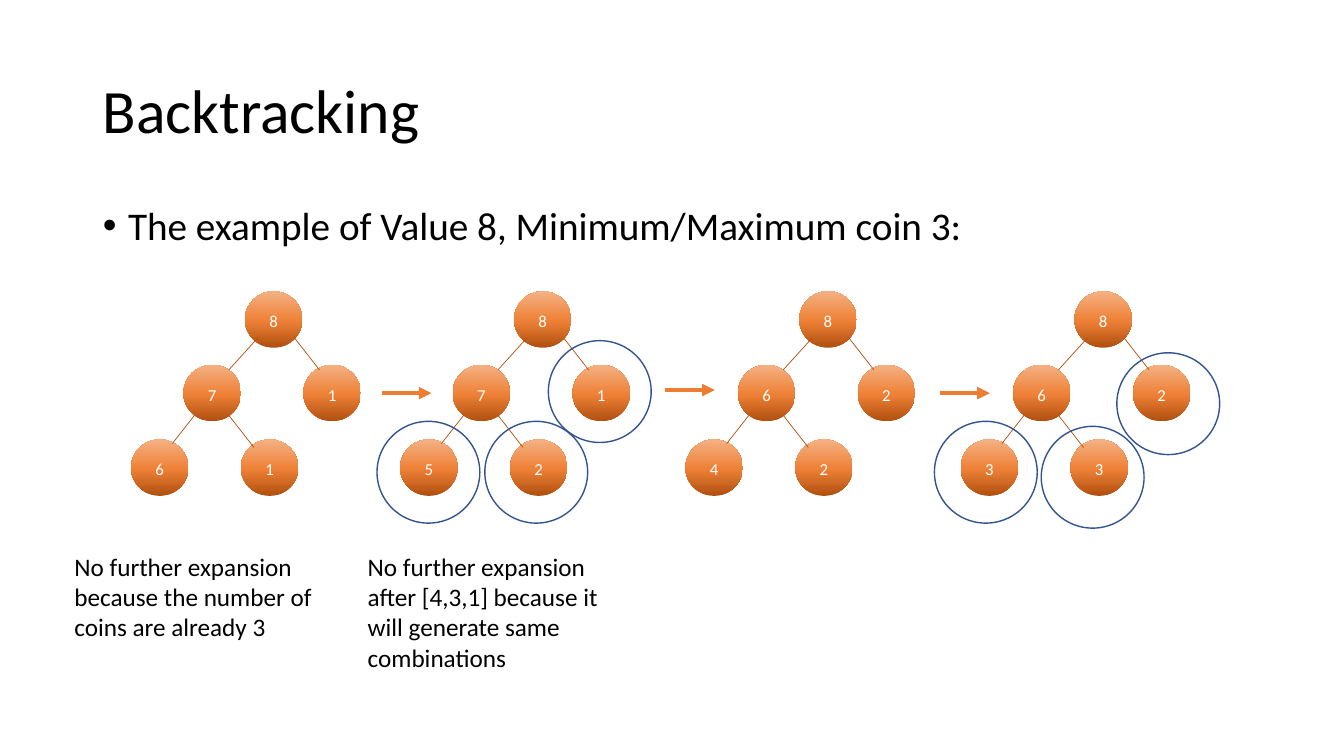
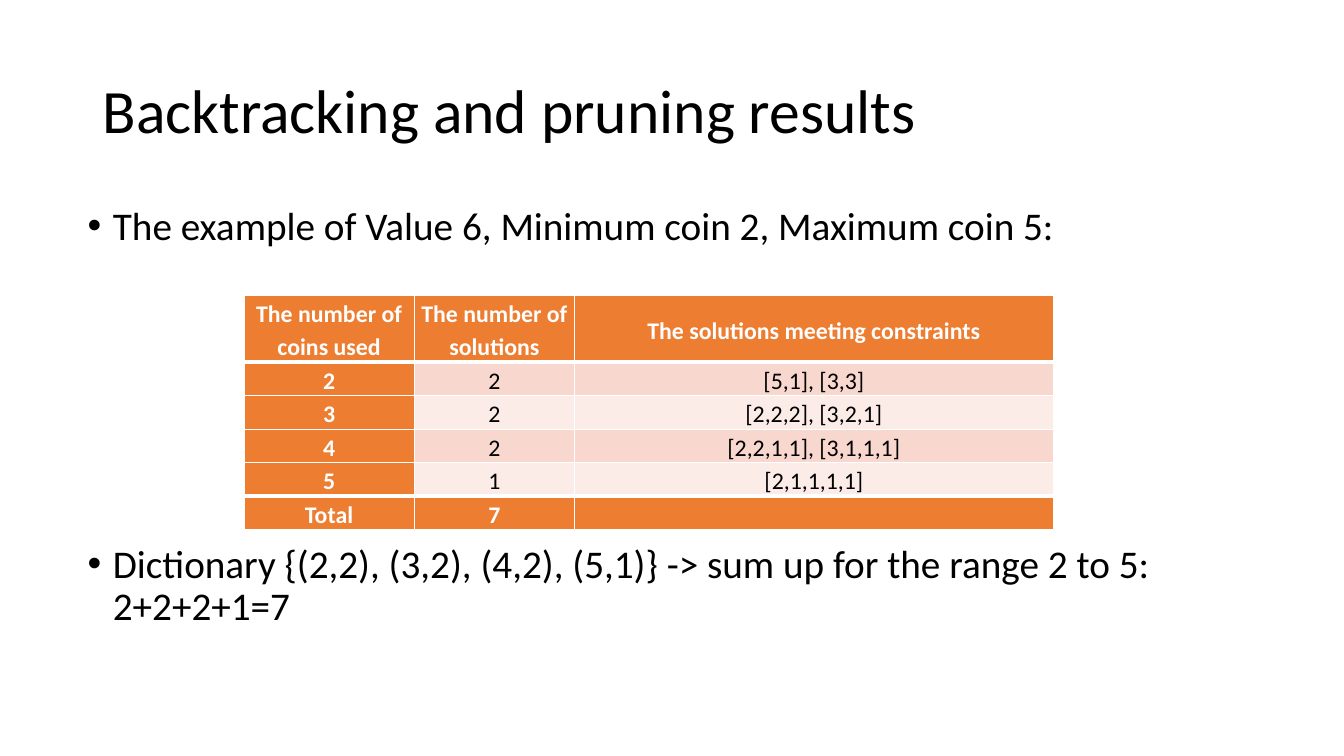
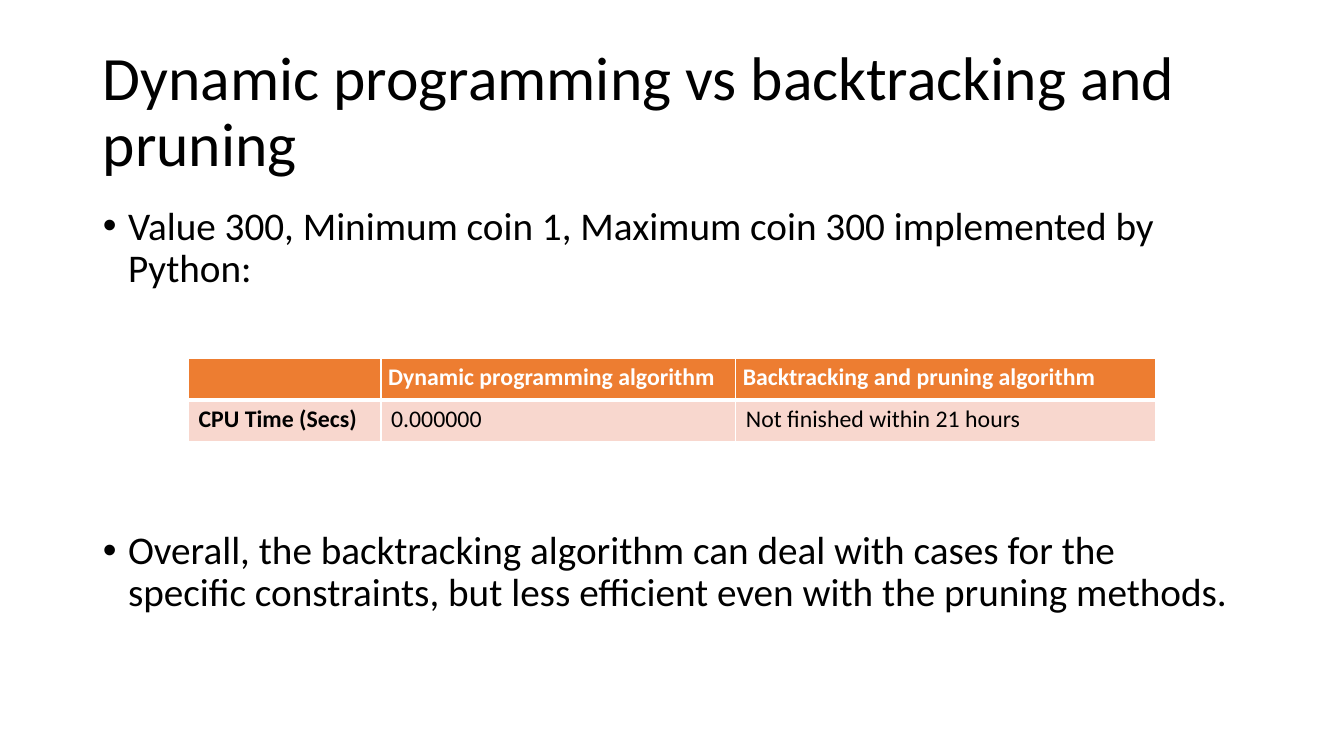
from copy import deepcopy

from lxml import etree
from pptx import Presentation
from pptx.dml.color import RGBColor
from pptx.enum.shapes import MSO_CONNECTOR, MSO_SHAPE
from pptx.enum.text import MSO_ANCHOR, MSO_AUTO_SIZE, PP_ALIGN
from pptx.oxml.ns import qn
from pptx.util import Emu, Pt

PX = 9144  # EMU in one px, at 100 px to the inch
FONT = "Calibri"
COLORS = {
    "text": "000000",
    "white": "FFFFFF",
    "orange": "ED7D31",
    "rust": "B0500F",
    "mid": "EE8137",
    "peach": "F4B183",
    "band_dark": "F8D7CE",
    "band_light": "FCECE8",
    "ring": "325491",
}
NODE_GRADIENT = [(0, "rust"), (0.48, "mid"), (1, "peach")]
LEFT, CENTER, JUSTIFY = PP_ALIGN.LEFT, PP_ALIGN.CENTER, PP_ALIGN.JUSTIFY
TOP, MIDDLE = MSO_ANCHOR.TOP, MSO_ANCHOR.MIDDLE
STRAIGHT = MSO_CONNECTOR.STRAIGHT
NODE, RING = MSO_SHAPE.FLOWCHART_CONNECTOR, MSO_SHAPE.OVAL
NO_FIT = MSO_AUTO_SIZE.NONE
SIDES = ("lnL", "lnR", "lnT", "lnB")

# Offsets in px from the top left corner of a tree's root
NODE_OFFSETS = [(0, 0), (58, 73), (-61, 73), (-4, 147), (-113, 147)]
EDGES = [(49, 46, 74, 78), (13, 46, -16, 78), (-16, 123, 9, 155), (-50, 123, -72, 151)]
ROOT_TOP = 289


def px(*lengths):
    return [Emu(length * PX) for length in lengths]


def rgb(name):
    return RGBColor.from_string(COLORS[name])


def apply(target, **values):
    for name, value in values.items():
        setattr(target, name, value)


def write(paragraph, text, size, color="text", bold=False, **layout):
    """Add one run; layout holds paragraph attributes."""
    apply(paragraph, **layout)
    run = paragraph.add_run()
    run.text = text
    apply(run.font, name=FONT, size=Pt(size), bold=bold)
    run.font.color.rgb = rgb(color)


def set_margins(target, across, down):
    across, down = px(across, down)
    apply(target, margin_left=across, margin_right=across,
          margin_top=down, margin_bottom=down)


def set_borders(cell, widths):
    """Give white edges in points, in the order of SIDES; call before the fill."""
    properties = cell._tc.get_or_add_tcPr()
    for side, width in zip(SIDES, widths):
        line = etree.SubElement(properties, qn(f"a:{side}"), w=str(Pt(width)))
        fill = etree.SubElement(line, qn("a:solidFill"))
        etree.SubElement(fill, qn("a:srgbClr"), val=COLORS["white"])


class Deck:
    """Holds the presentation, its style and the current slide."""

    def __init__(self):
        self.presentation = Presentation()
        apply(self.presentation, slide_width=Emu(12192000), slide_height=Emu(6858000))
        self.slide = None

    def place(self, shape, left, top, width, height):
        for name, value in zip(("left", "top", "width", "height"),
                               px(left, top, width, height)):
            setattr(shape, name, value)

    def new_slide(self, title, bullets, body_left=92):
        """Bullets are pairs of text and the space before it in points."""
        layout = self.presentation.slide_layouts[1]
        self.slide = self.presentation.slides.add_slide(layout)
        heading, body = self.slide.placeholders
        self.place(heading, 92, 40, 1150, 145)
        self.place(body, body_left, 200, 1150, 476)
        for shape, anchor in ((heading, MIDDLE), (body, TOP)):
            apply(shape.text_frame, auto_size=NO_FIT, word_wrap=True, vertical_anchor=anchor)
        write(heading.text_frame.paragraphs[0], title, 44, alignment=LEFT, line_spacing=0.9)
        frame = body.text_frame
        for index, (text, gap) in enumerate(bullets):
            paragraph = frame.add_paragraph() if index else frame.paragraphs[0]
            write(paragraph, text, 28, line_spacing=0.9, space_before=Pt(gap))
            properties = paragraph._p.get_or_add_pPr()
            properties.set("marL", str(25 * PX))
            properties.set("indent", str(-25 * PX))

    def note(self, left, top, width, height, text):
        frame = self.slide.shapes.add_textbox(*px(left, top, width, height)).text_frame
        frame.word_wrap = True
        write(frame.paragraphs[0], text, 18)

    def line(self, shapes, ends, color, weight, arrow=False):
        connector = shapes.add_connector(STRAIGHT, *px(*ends))
        connector.line.color.rgb = rgb(color)
        connector.line.width = Pt(weight)
        properties = connector._element.spPr
        if arrow:
            etree.SubElement(properties.find(qn("a:ln")), qn("a:tailEnd"), type="triangle")
        etree.SubElement(properties, qn("a:effectLst"))

    def arrow(self, left, top):
        self.line(self.slide.shapes, (left, top, left + 49, top), "orange", 3, arrow=True)

    def ring(self, left, top):
        shape = self.slide.shapes.add_shape(RING, *px(left, top, 102, 101))
        shape.shadow.inherit = False
        shape.fill.background()
        shape.line.color.rgb = rgb("ring")
        shape.line.width = Pt(1)

    def node(self, shapes, left, top, label):
        shape = shapes.add_shape(NODE, *px(left, top, 57, 56))
        shape.shadow.inherit = False
        shape.line.fill.background()
        shape.fill.gradient()
        shape.fill.gradient_angle = 90
        stop_list = shape._element.spPr.find(qn("a:gradFill")).find(qn("a:gsLst"))
        stop_list.append(deepcopy(stop_list[0]))
        for stop, (position, color) in zip(shape.fill.gradient_stops, NODE_GRADIENT):
            stop.position = position
            stop.color.rgb = rgb(color)
        frame = shape.text_frame
        frame.vertical_anchor = MIDDLE
        set_margins(frame, 0, 0)
        write(frame.paragraphs[0], label, 12, "white", alignment=CENTER, line_spacing=1.15)

    def tree(self, left, labels):
        """Draw a group of five nodes: root, right, left, then the two leaves."""
        shapes = self.slide.shapes.add_group_shape().shapes
        for (across, down), label in zip(NODE_OFFSETS, labels):
            self.node(shapes, left + across, ROOT_TOP + down, label)
        for x1, y1, x2, y2 in EDGES:
            ends = (left + x1, ROOT_TOP + y1, left + x2, ROOT_TOP + y2)
            self.line(shapes, ends, "rust", 0.5)

    def table(self, left, top, widths, heights, rows, thick_below, style_of):
        """style_of(row, column) gives fill, anchor, margins and text format."""
        frame = self.slide.shapes.add_table(
            len(rows), len(widths), *px(left, top, sum(widths), sum(heights)))
        table = frame.table
        for column, width in zip(table.columns, px(*widths)):
            column.width = width
        for row, height in zip(table.rows, px(*heights)):
            row.height = height
        for r, texts in enumerate(rows):
            edges = [3 if index in thick_below else 1 for index in (r - 1, r)]
            for c, text in enumerate(texts):
                cell, style = table.cell(r, c), style_of(r, c)
                set_borders(cell, [1, 1, *edges])
                cell.fill.solid()
                cell.fill.fore_color.rgb = rgb(style["fill"])
                cell.vertical_anchor = style["anchor"]
                set_margins(cell, *style["margins"])
                if text:
                    write(cell.text_frame.paragraphs[0], text, 17, **style["text"])


def result_style(row, column):
    head = row in (0, 5) or column == 0
    band = "band_dark" if row % 2 else "band_light"
    return {
        "fill": "orange" if head else band,
        "anchor": MIDDLE,
        "margins": (7, 0),
        "text": {"color": "white" if head else "text", "bold": head,
                 "alignment": CENTER, "line_spacing": 1.15},
    }


def time_style(row, column):
    if row == 0:
        return {"fill": "orange", "anchor": TOP, "margins": (7, 0),
                "text": {"color": "white", "bold": True,
                         "alignment": JUSTIFY, "line_spacing": 1.15}}
    return {"fill": "band_dark", "anchor": TOP, "margins": (10, 5),
            "text": {"bold": column == 0}}


def main():
    deck = Deck()

    deck.new_slide("Backtracking", [("The example of Value 8, Minimum/Maximum coin 3:", 10)])
    for left, labels in ((243, "81716"), (510, "81725"), (793, "82624"), (1066, "82633")):
        deck.tree(left, labels)
    for left, top in ((379, 390), (660, 387), (933, 390)):
        deck.arrow(left, top)
    for left, top in ((374, 418), (481, 418), (544, 338),
                      (927, 418), (1033, 423), (1108, 350)):
        deck.ring(left, top)
    deck.note(64, 542, 276, 101,
              "No further expansion because the number of coins are already 3")
    deck.note(355, 542, 276, 131,
              "No further expansion after [4,3,1] because it will generate same combinations")

    deck.new_slide("Backtracking and pruning results", [
        ("The example of Value 6, Minimum coin 2, Maximum coin 5:", 10),
        ("Dictionary {(2,2), (3,2), (4,2), (5,1)} -> sum up for the range 2 to 5: 2+2+2+1=7",
         211),
    ], body_left=77)
    deck.table(242, 293, [169, 159, 475], [66] + [33] * 5, [
        ("The number of coins used", "The number of solutions",
         "The solutions meeting constraints"),
        ("2", "2", "[5,1], [3,3]"),
        ("3", "2", "[2,2,2], [3,2,1]"),
        ("4", "2", "[2,2,1,1], [3,1,1,1]"),
        ("5", "1", "[2,1,1,1,1]"),
        ("Total", "7", ""),
    ], {0, 4}, result_style)

    deck.new_slide("Dynamic programming vs backtracking and pruning", [
        ("Value 300, Minimum coin 1, Maximum coin 300 implemented by Python:", 10),
        ("Overall, the backtracking algorithm can deal with cases for the specific "
         "constraints, but less efficient even with the pruning methods.", 171),
    ])
    deck.table(187, 356, [191, 352, 416], [41, 41], [
        ("", "Dynamic programming algorithm", "Backtracking and pruning algorithm"),
        ("CPU Time (Secs)", "0.000000", "Not finished within 21 hours"),
    ], {0}, time_style)

    deck.presentation.save("out.pptx")


if __name__ == "__main__":
    main()
